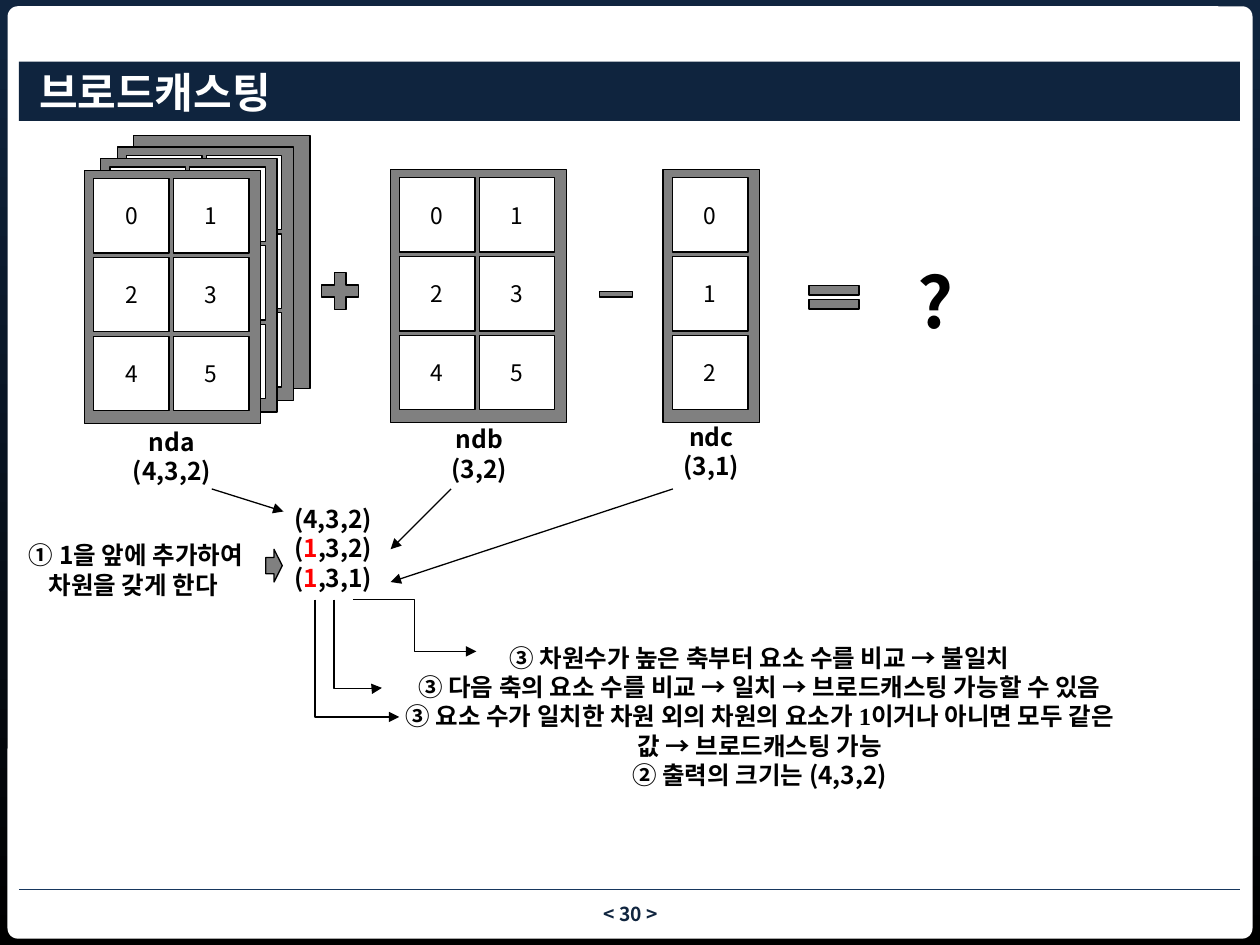
from dataclasses import dataclass
from typing import Optional, Sequence

from lxml.etree import SubElement
from pptx import Presentation
from pptx.dml.color import RGBColor
from pptx.enum.shapes import MSO_CONNECTOR, MSO_SHAPE
from pptx.enum.text import MSO_ANCHOR, PP_ALIGN
from pptx.oxml.ns import qn
from pptx.util import Pt

HEX = {"navy": "10253F", "bar": "0F243E", "rule": "17375E", "black": "000000",
       "white": "FFFFFF", "gray": "808080", "red": "FF0000"}
SANS, SERIF = "Noto Sans CJK KR", "Times New Roman"
FLUSH = {"margin_left": 0, "margin_right": 0, "margin_top": 0, "margin_bottom": 0}
MID = {"vertical_anchor": MSO_ANCHOR.MIDDLE}
WRAP = {"word_wrap": True}


@dataclass
class Grid:
    left: float
    top: float
    cols: int
    cells: Sequence[Optional[str]]


@dataclass
class Note:
    left: float
    top: float
    width: float
    height: float
    lines: Sequence[str]
    size: float = 14
    fonts: Sequence[str] = (SANS,)


@dataclass
class Bend:
    left: float
    top: float
    width: float
    height: float
    turned: bool
    ratio: float


def tint(name: str) -> RGBColor:
    return RGBColor.from_string(HEX[name])


def apply(thing, form: dict) -> None:
    for key, value in form.items():
        setattr(thing, key, value)


def write(shape, lines: Sequence[str], size: float, form: dict, color: str = "black",
          bold: bool = True, align=PP_ALIGN.CENTER, fonts: Sequence[str] = (SANS,)) -> None:
    """Fill a shape with text; parts between asterisks are red."""
    frame = shape.text_frame
    apply(frame, form)
    for row, line in enumerate(lines):
        para = frame.paragraphs[0] if row == 0 else frame.add_paragraph()
        apply(para, {"alignment": align, "line_spacing": Pt(size * 1.2)})
        for part, text in enumerate(line.split("*")):
            run = para.add_run()
            run.text = text
            face = fonts[row % len(fonts)]
            apply(run.font, {"size": Pt(size), "bold": bold, "name": face})
            run.font.color.rgb = tint("red" if part % 2 else color)
            SubElement(run.font._element, qn("a:ea"), typeface=SANS)


def draw(kind, left: float, top: float, width: float, height: float,
         fill: str = "gray", edge: Optional[str] = "black"):
    shape = slide.shapes.add_shape(kind, Pt(left), Pt(top), Pt(width), Pt(height))
    shape.shadow.inherit = False
    shape.fill.solid()
    shape.fill.fore_color.rgb = tint(fill)
    if edge:
        shape.line.color.rgb = tint(edge)
        shape.line.width = Pt(0.75)
    else:
        shape.line.fill.background()
    return shape


def link(start: tuple, end: tuple, kind=MSO_CONNECTOR.STRAIGHT, color: str = "black",
         width: float = 0.75, head: bool = True):
    wire = slide.shapes.add_connector(kind, *map(Pt, start + end))
    wire.line.color.rgb = tint(color)
    wire.line.width = Pt(width)
    if head:
        SubElement(wire.line._get_or_add_ln(), qn("a:tailEnd"), type="triangle")
    SubElement(wire._element.spPr, qn("a:effectLst"))
    return wire


def bend(item: Bend) -> None:
    right, low = item.left + item.width, item.top + item.height
    first, last = (right, item.left) if item.turned else (item.left, right)
    wire = link((first, item.top), (last, low), MSO_CONNECTOR.ELBOW)
    props = wire._element.spPr
    if item.turned:
        props.find(qn("a:xfrm")).set("rot", str(270 * 60000))
    guides = props.find(qn("a:prstGeom")).find(qn("a:avLst"))
    SubElement(guides, qn("a:gd"), name="adj1", fmla=f"val {round(item.ratio * 100000)}")


def plot(grid: Grid) -> None:
    draw(MSO_SHAPE.RECTANGLE, grid.left, grid.top, 9.8 + 45.5 * grid.cols, 144.7)
    for spot, text in enumerate(grid.cells):
        if text is None:
            continue
        row, col = divmod(spot, grid.cols)
        cell = draw(MSO_SHAPE.RECTANGLE, grid.left + 5.3 + 45.6 * col,
                    grid.top + 4.7 + 45 * row, 43.2, 42.5, "white")
        if text:
            write(cell, [text], 13, {"word_wrap": False, **MID}, bold=False)


def label(note: Note, form: dict = WRAP, color: str = "black") -> None:
    box = slide.shapes.add_textbox(Pt(note.left), Pt(note.top), Pt(note.width), Pt(note.height))
    write(box, note.lines, note.size, form, color, fonts=note.fonts)


deck = Presentation()
apply(deck, {"slide_width": Pt(720), "slide_height": Pt(540)})
slide = deck.slides.add_slide(deck.slide_layouts[6])

# Backdrop, page number and footer rule
back = slide.background.fill
back.gradient()
back.gradient_angle = 270
for stop, name in zip(back.gradient_stops, ("navy", "black")):
    stop.color.rgb = tint(name)
page = draw(MSO_SHAPE.ROUNDED_RECTANGLE, 4.3, 3.6, 711.4, 532.8, "white", None)
page.adjustments[0] = 0.011
label(Note(282.2, 515.5, 156.2, 13.7, ["< 30 >"], 11), {**WRAP, **FLUSH, **MID}, "navy")
link((10.8, 508.3), (708.5, 508.3), color="rule", width=1, head=False)

# Title bar
title = draw(MSO_SHAPE.RECTANGLE, 10.8, 35.3, 697.7, 33.8, "bar", None)
write(title, ["브로드캐스팅"], 24, {**WRAP, **FLUSH, **MID, "margin_left": Pt(11.5)},
      "white", align=PP_ALIGN.LEFT)

# Arrays: a stack of four, then two single ones
EDGE = ("", "", None, "", None, "")
for depth, cells in ((3, ()), (2, EDGE), (1, EDGE), (0, "012345")):
    plot(Grid(48.2 + 9.4 * depth, 97.4 - 6.7 * depth, 2, cells))
plot(Grid(223, 96.9, 2, "012345"))
plot(Grid(378.9, 96.9, 1, "012"))

# Signs and the step arrow
for sign, *place in ((MSO_SHAPE.MATH_PLUS, 180, 151.9, 28.8, 28.8),
                     (MSO_SHAPE.MATH_MINUS, 339.1, 161.3, 25.9, 13.7),
                     (MSO_SHAPE.MATH_EQUAL, 457.2, 158.4, 38.9, 23),
                     (MSO_SHAPE.RIGHT_ARROW, 151.9, 313.9, 9.4, 18.7)):
    draw(sign, *place)

# Captions and notes
NOTES = [
    Note(65.5, 240.5, 65.5, 41, ["nda", "(4,3,2)"]),
    Note(241.2, 239, 65.5, 41, ["ndb", "(3,2)"]),
    Note(373.7, 237.6, 65.5, 41, ["ndc", "(3,1)"]),
    Note(157.7, 284.4, 65.5, 58.3, ["(4,3,2)", "(*1*,3,2)", "(*1*,3,1)"]),
    Note(501.8, 144, 65.5, 55.4, ["?"], 40),
    Note(1.4, 305.3, 152.6, 41, ["① 1을 앞에 추가하여 차원을 갖게 한다 "]),
    Note(216.7, 363.6, 434.9, 92.2, [
        "③ 차원수가 높은 축부터 요소 수를 비교 → 불일치",
        "③ 다음 축의 요소 수를 비교 → 일치 → 브로드캐스팅 가능할 수 있음",
        "③ 요소 수가 일치한 차원 외의 차원의 요소가 1이거나 아니면 모두 같은 값 → 브로드캐스팅 가능",
        "② 출력의 크기는 (4,3,2)"], fonts=(SANS, SERIF, SERIF, SANS)),
]
for note in NOTES:
    label(note)

# Arrows from the shapes to the aligned list
for start, end in (((121, 279.4), (162, 292.3)), ((257.8, 279.4), (223.2, 313.9)),
                   ((384.5, 279.4), (223.2, 332.6))):
    link(start, end)

# Bent arrows from each axis to its rule
for item in (Bend(201.6, 342.7, 70.6, 29.5, False, 0.5),
             Bend(179.3, 354.2, 50.4, 27.4, True, 1.01),
             Bend(170.6, 352.1, 67, 48.2, True, 1)):
    bend(item)

deck.save("out.pptx")
